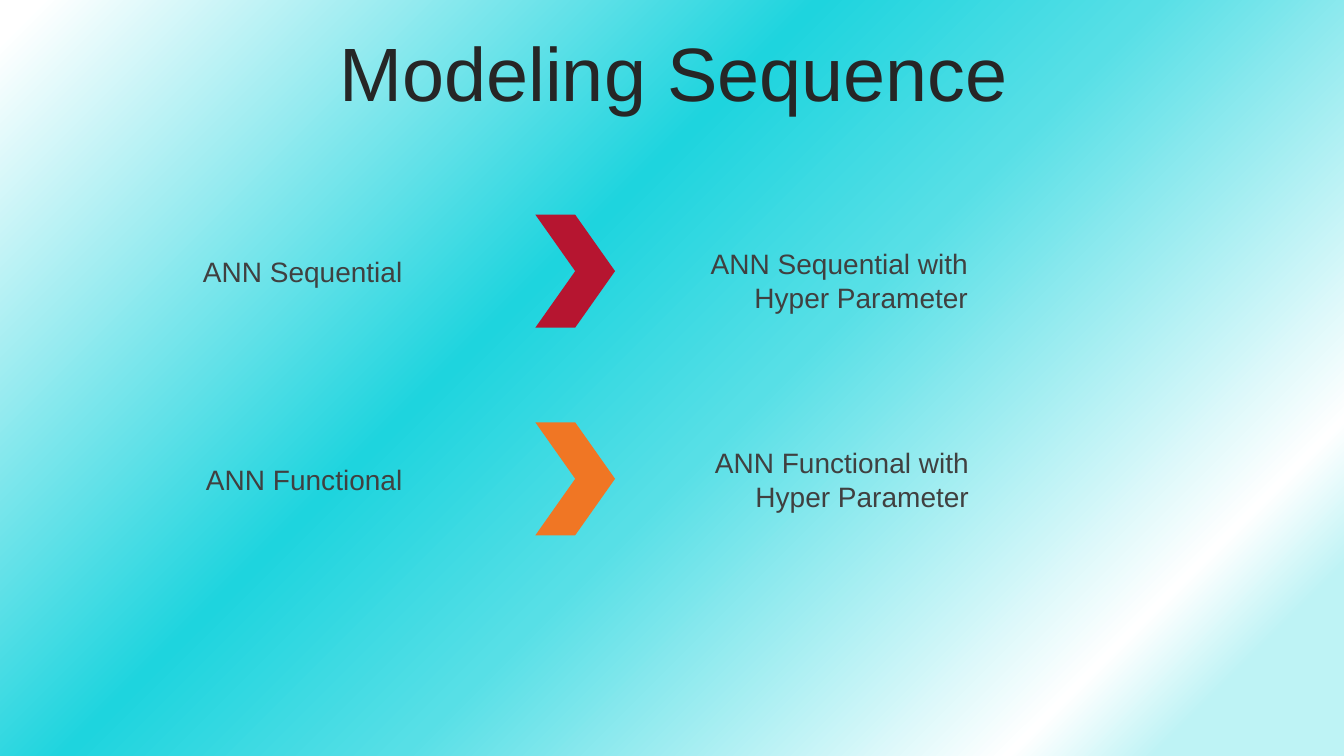
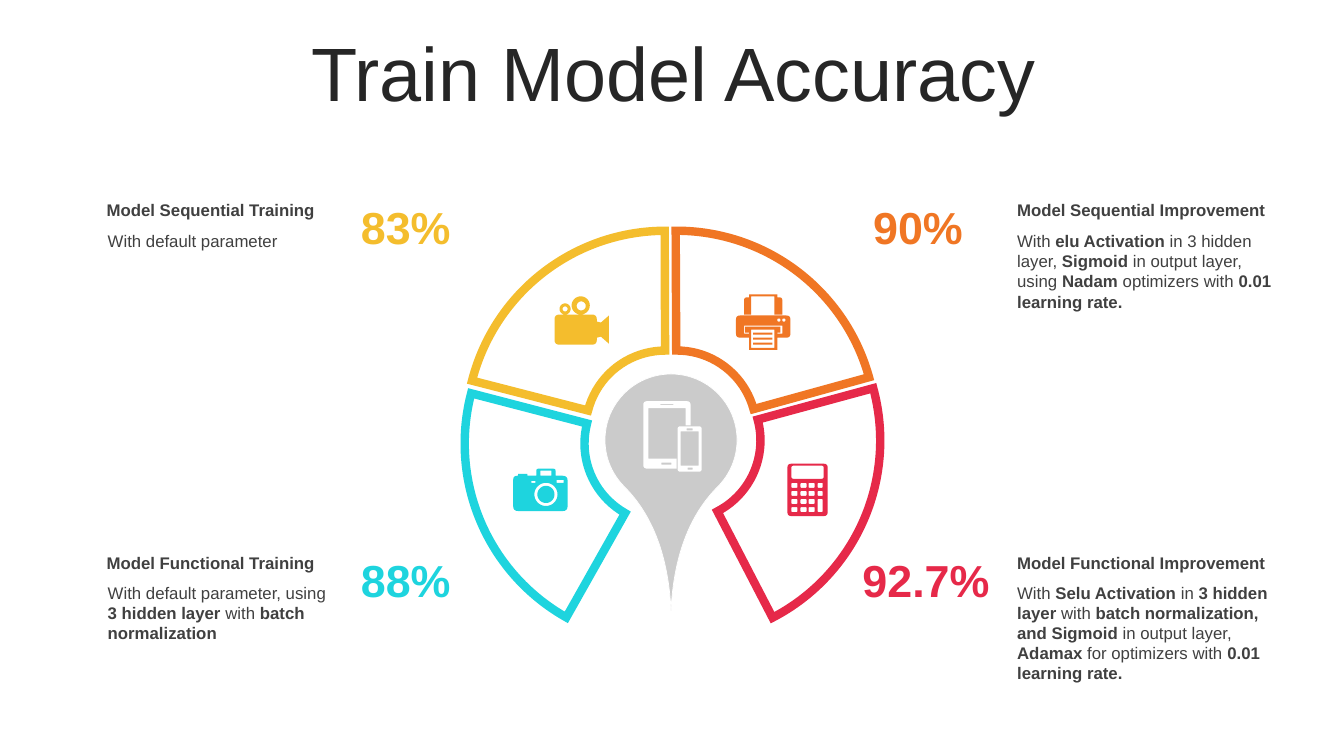
"""Build two slides on model sequence and training accuracy."""
import math
from dataclasses import dataclass

import pptx
import pptx.dml.color
import pptx.enum.shapes
import pptx.enum.text
import pptx.oxml
import pptx.oxml.ns
import pptx.util

PX = 9144
FONT = "Arial"
INK, TEXT, WHITE, GREY = "262626", "404040", "FFFFFF", "CBCBCB"
RED, ORANGE, ROSE, GOLD, TEAL = "B61530", "F07624", "E62949", "F4BD2D", "1ED4DE"
STOPS = [(9, "BEF3F5"), (16, WHITE), (45, "57DFE6"), (61, TEAL), (98, WHITE)]

SHAPE = pptx.enum.shapes.MSO_SHAPE
ALIGN = pptx.enum.text.PP_ALIGN
FIT = pptx.enum.text.MSO_AUTO_SIZE
Pt = pptx.util.Pt


@dataclass
class Box:
    x: int
    y: int
    w: int
    h: int

    def emu(self) -> list[int]:
        return [side * PX for side in (self.x, self.y, self.w, self.h)]


@dataclass
class Step:
    tint: str
    mark: Box
    base: str
    base_box: Box
    tuned: str
    tuned_box: Box


@dataclass
class Arc:
    tint: str
    x: int
    y: int
    turn: int
    start: float
    end: float


@dataclass
class Score:
    tint: str
    value: str
    value_box: Box
    head: str
    head_box: Box
    note: str
    note_box: Box


STEPS = [
    Step(RED, Box(531, 213, 79, 112), "ANN Sequential", Box(164, 248, 245, 44),
         "ANN Sequential with Hyper Parameter", Box(667, 240, 303, 77)),
    Step(ORANGE, Box(531, 419, 79, 112), "ANN Functional", Box(164, 454, 245, 44),
         "ANN Functional with Hyper Parameter", Box(668, 437, 303, 77)),
]

ARCS = [
    Arc(GOLD, 462, 229, 0, 116.65, 161.88),
    Arc(ORANGE, 473, 229, 75, 116.85, 161.74),
    Arc(ROSE, 477, 239, 153, 115.08, 161.74),
    Arc(TEAL, 461, 242, 285, 116.65, 161.74),
]

SCORES = [
    Score(GOLD, "83%", Box(346, 193, 113, 64),
          "Model Sequential Training", Box(96, 193, 237, 30),
          "With default parameter", Box(97, 224, 239, 30)),
    Score(TEAL, "88%", Box(346, 543, 113, 64),
          "Model Functional Training", Box(96, 543, 237, 30),
          "With default parameter, using *3 hidden layer *with *batch normalization*",
          Box(97, 573, 239, 71)),
    Score(ORANGE, "90%", Box(833, 193, 155, 64),
          "Model Sequential Improvement", Box(999, 193, 284, 30),
          "With *elu Activation* in 3 hidden layer, *Sigmoid* in output layer, "
          "using *Nadam* optimizers with *0.01 learning rate.*",
          Box(999, 224, 284, 91)),
    Score(ROSE, "92.7%", Box(831, 543, 175, 64),
          "Model Functional Improvement", Box(999, 543, 284, 30),
          "With *Selu Activation *in *3 hidden layer *with *batch normalization, "
          "and Sigmoid* in output layer, *Adamax *for optimizers with "
          "*0.01 learning rate.*",
          Box(999, 573, 284, 111)),
]


def hue(code: str):
    """Turn a hex string into a colour."""
    return pptx.dml.color.RGBColor.from_string(code)


def paint(shape, fill: str, line: str = "", width: float = 0) -> None:
    """Set fill and line, and drop the shadow."""
    shape.shadow.inherit = False
    shape.fill.solid()
    shape.fill.fore_color.rgb = hue(fill)
    if line:
        shape.line.color.rgb = hue(line)
        shape.line.width = Pt(width)
    else:
        shape.line.fill.background()


def form(slide, kind, box: Box, fill: str, line: str = "", width: float = 0,
         turn: int = 0, tune: tuple = ()):
    """Draw a preset shape."""
    shape = slide.shapes.add_shape(kind, *box.emu())
    paint(shape, fill, line, width)
    shape.rotation = turn
    for at, value in enumerate(tune):
        shape.adjustments[at] = value
    return shape


def write(par, text: str, size: int, tint: str, bold: bool = False) -> None:
    """Add runs, making bold what stands between stars."""
    for at, part in enumerate(text.split("*")):
        if part:
            run = par.add_run()
            run.text = part
            run.font.name = FONT
            run.font.size = Pt(size)
            run.font.bold = bold or at % 2 == 1
            run.font.color.rgb = hue(tint)


def label(slide, box: Box, text: str, size: int, tint: str,
          align=ALIGN.LEFT, bold: bool = False):
    """Add a wrapped text box and return its paragraph."""
    frame = slide.shapes.add_textbox(*box.emu()).text_frame
    frame.word_wrap = True
    frame.auto_size = FIT.SHAPE_TO_FIT_TEXT
    par = frame.paragraphs[0]
    par.alignment = align
    write(par, text, size, tint, bold)
    return par


def xml(body: str):
    """Read one drawing element."""
    head, tail = body.split(" ", 1)
    return pptx.oxml.parse_xml(f"{head} {pptx.oxml.ns.nsdecls('a')} {tail}")


def start(deck, text: str):
    """Add a slide with the shared title style."""
    slide = deck.slides.add_slide(deck.slide_layouts[5])
    title = slide.shapes.title
    title.left, title.top, title.width, title.height = Box(35, 37, 1266, 79).emu()
    frame = title.text_frame
    frame.word_wrap = True
    frame.auto_size = FIT.NONE
    frame.vertical_anchor = pptx.enum.text.MSO_ANCHOR.MIDDLE
    par = frame.paragraphs[0]
    par.alignment = ALIGN.CENTER
    par.line_spacing = 0.9
    par.space_before = Pt(10)
    write(par, text, 54, INK)
    return slide


def glow(slide) -> None:
    """Lay the round gradient behind a slide."""
    slide.background.fill.gradient()
    old = slide.element.find(".//" + pptx.oxml.ns.qn("a:gradFill"))
    stops = "".join(f'<a:gs pos="{at * 1000}"><a:srgbClr val="{tint}"/></a:gs>'
                    for at, tint in STOPS)
    new = xml(f'<a:gradFill rotWithShape="1"><a:gsLst>{stops}</a:gsLst>'
              '<a:path path="circle"><a:fillToRect l="100000" t="100000"/></a:path>'
              '<a:tileRect r="-100000" b="-100000"/></a:gradFill>')
    old.getparent().replace(old, new)


def bend(*nodes: tuple) -> list[tuple]:
    """Outline a polygon, rounding each corner that has a radius."""
    out = []
    for at, (x, y, *rest) in enumerate(nodes):
        if not rest:
            out.append((x, y))
            continue
        ends = []
        for near in (nodes[at - 1], nodes[(at + 1) % len(nodes)]):
            part = rest[0] / math.dist((x, y), near[:2])
            ends.append((x + (near[0] - x) * part, y + (near[1] - y) * part))
        (ax, ay), (bx, by) = ends
        for t in (0, 0.25, 0.5, 0.75, 1):
            a, m, b = (1 - t) ** 2, 2 * t * (1 - t), t * t
            out.append((a * ax + m * x + b * bx, a * ay + m * y + b * by))
    return out


def pane(x: int, y: int, w: int, h: int, r: int = 0) -> list[tuple]:
    """Outline a box."""
    ends = [(x, y), (x + w, y), (x + w, y + h), (x, y + h)]
    return bend(*((*end, r) if r else end for end in ends))


def disc(x: int, y: int, d: int) -> list[tuple]:
    """Outline a circle from its top left corner and width."""
    turns = [math.tau * at / 40 for at in range(40)]
    return [(x + d / 2 * (1 + math.cos(t)), y + d / 2 * (1 + math.sin(t)))
            for t in turns]


def icon(slide, tint: str, *rings: list[tuple]) -> None:
    """Draw outlines as one shape, with inner ones as holes."""
    rings = [[(x * PX, y * PX) for x, y in ring] for ring in rings]
    pen = slide.shapes.build_freeform(*rings[0][0], scale=1.0)
    for ring in rings:
        if ring is not rings[0]:
            pen.move_to(*ring[0])
        pen.add_line_segments(ring[1:], close=True)
    paint(pen.convert_to_shape(), tint)


def icons(slide) -> None:
    """Draw the five device icons."""
    icon(slide, WHITE,
         bend((638, 398, 4), (685, 398, 4), (685, 422), (680, 422), (680, 405),
              (643, 405), (643, 455), (671, 455), (671, 465), (638, 465, 4)),
         pane(656, 459, 10, 2), pane(655, 401, 13, 1), pane(672, 423, 24, 45, 3),
         pane(675, 428, 18, 34), pane(681, 425, 6, 2), pane(682, 464, 5, 2))
    keys = [pane(785 + round(col * 26 / 3), 479 + row * 8, 6 - col // 3,
                 13 if (col, row) == (3, 2) else 5, 1)
            for row in range(4) for col in range(4) if (col, row) != (3, 3)]
    icon(slide, ROSE, pane(781, 460, 40, 52, 4), pane(785, 462, 32, 13, 2), *keys)
    icon(slide, ORANGE,
         bend((730, 313, 4), (784, 313, 4), (784, 335, 4), (771, 335), (771, 347),
              (743, 347), (743, 335), (730, 335, 4)),
         bend((738, 323), (776, 323), (776, 331), (771, 331), (771, 330), (774, 330),
              (774, 324), (739, 324), (739, 330), (743, 330), (743, 331), (738, 331)),
         pane(745, 327, 23, 18), *(pane(747, y, 19, 2) for y in (330, 335, 340)),
         pane(771, 316, 3, 3, 1), pane(776, 316, 3, 3, 1),
         bend((743, 292), (771, 292), (771, 295), (776, 295, 3), (776, 312),
              (768, 312), (768, 294), (745, 294), (745, 312), (738, 312),
              (738, 295, 3), (743, 295)))
    icon(slide, TEAL,
         bend((532, 465, 2), (551, 465, 2), (551, 472), (563, 472, 5), (563, 507, 5),
              (509, 507, 5), (509, 472, 4), (514, 472), (514, 470), (523, 470),
              (523, 472), (532, 472)),
         pane(536, 467, 11, 5), pane(527, 477, 4, 2), pane(552, 476, 7, 3),
         disc(530, 479, 23), disc(533, 482, 17))
    icon(slide, GOLD,
         bend((550, 312, 5), (592, 312, 5), (592, 319), (596, 320), (604, 313),
              (604, 341), (596, 334), (592, 335), (592, 342, 5), (550, 342, 5)),
         disc(567, 294, 18), disc(572, 299, 9), disc(555, 301, 11), disc(558, 304, 5))


def order(deck) -> None:
    """Build the slide on the order of models."""
    slide = start(deck, "Modeling Sequence")
    glow(slide)
    for step in STEPS:
        form(slide, SHAPE.CHEVRON, step.mark, step.tint)
        label(slide, step.base_box, step.base, 20, TEXT, ALIGN.RIGHT)
        label(slide, step.tuned_box, step.tuned, 20, TEXT, ALIGN.RIGHT)


def rates(deck) -> None:
    """Build the slide on accuracy."""
    slide = start(deck, "Train Model Accuracy")
    for arc in ARCS:
        shape = form(slide, SHAPE.BLOCK_ARC, Box(arc.x, arc.y, 396, 396), WHITE,
                     arc.tint, 6, arc.turn, (arc.start, arc.end, 0.3))
        shape.line._get_or_add_ln().append(xml('<a:miter lim="800000"/>'))
    form(slide, SHAPE.TEAR, Box(600, 371, 131, 131), GREY, WHITE, 0.5, 135, (1.83,))
    icons(slide)
    for score in SCORES:
        label(slide, score.note_box, score.note, 12, TEXT)
        label(slide, score.head_box, score.head, 12, TEXT, bold=True)
        par = label(slide, score.value_box, score.value, 32, score.tint,
                    ALIGN.CENTER, True)
        par.runs[0].font._element.insert(0, xml(
            f'<a:ln w="12700"><a:solidFill><a:srgbClr val="{WHITE}"/>'
            '</a:solidFill></a:ln>'))


def main() -> None:
    """Build and save the deck."""
    deck = pptx.Presentation()
    deck.slide_width, deck.slide_height = 1333 * PX, 750 * PX
    order(deck)
    rates(deck)
    deck.save("out.pptx")


if __name__ == "__main__":
    main()
